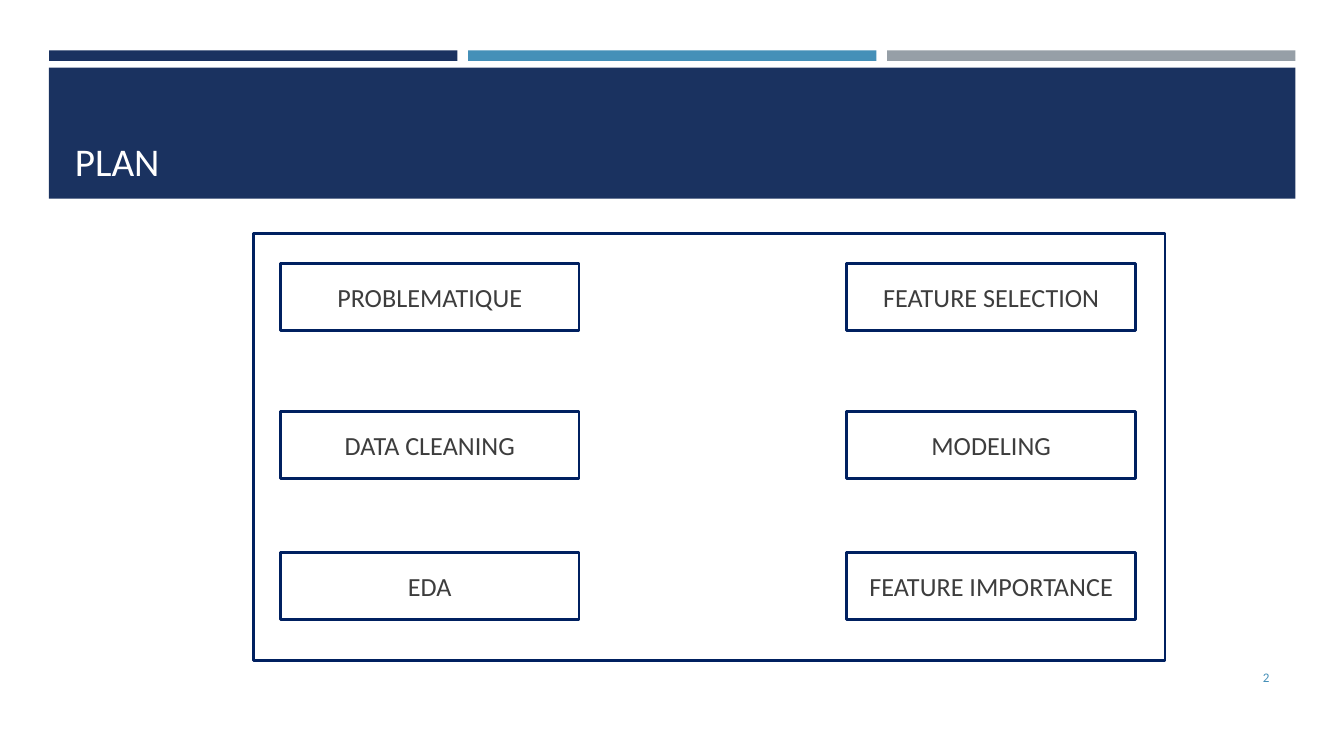
"""Build the plan slide: a header band and six framed topics."""
from dataclasses import dataclass

import pptx
import pptx.dml.color
import pptx.enum.shapes
import pptx.enum.text
import pptx.shapes.autoshape
import pptx.slide
import pptx.util

Pt = pptx.util.Pt
ALIGN = pptx.enum.text.PP_ALIGN
ANCHOR = pptx.enum.text.MSO_ANCHOR
FONT = "Calibri"
COLORS = {
    "navy": "1A3260",
    "blue": "4590B8",
    "gray": "969FA7",
    "outline": "002060",
    "text": "3D3D3D",
    "white": "FFFFFF",
}
BAR_COLORS = ("navy", "blue", "gray")
BAR_LEFT, BAR_PITCH = 26.3, 224.45
ROW_TOPS = (141.1, 220.3, 296)
ROW_HEIGHT = 36


@dataclass(frozen=True)
class Area:
    left: float
    top: float
    width: float
    height: float

    def lengths(self) -> tuple:
        return tuple(Pt(value) for value in (self.left, self.top, self.width, self.height))


@dataclass(frozen=True)
class TopicColumn:
    left: float
    width: float
    topics: tuple[str, ...]


COLUMNS = (
    TopicColumn(150.3, 160, ("PROBLEMATIQUE", "DATA CLEANING", "EDA")),
    TopicColumn(453.6, 154.8, ("FEATURE SELECTION", "MODELING", "FEATURE IMPORTANCE")),
)


def rgb(name: str) -> pptx.dml.color.RGBColor:
    return pptx.dml.color.RGBColor.from_string(COLORS[name])


def write(shape, text: str, size: float, color: str, align: ALIGN, anchor: ANCHOR) -> None:
    frame = shape.text_frame
    frame.text = text
    frame.word_wrap = True
    frame.auto_size = pptx.enum.text.MSO_AUTO_SIZE.NONE
    frame.vertical_anchor = anchor
    frame.margin_left = frame.margin_right = Pt(5.4)
    frame.margin_top = frame.margin_bottom = Pt(2.7)
    para = frame.paragraphs[0]
    para.alignment = align
    for span in para.runs:
        span.font.name = FONT
        span.font.size = Pt(size)
        span.font.color.rgb = rgb(color)


def add_box(page: pptx.slide.Slide, area: Area, fill: str = "",
            line: str = "") -> pptx.shapes.autoshape.Shape:
    box = page.shapes.add_shape(pptx.enum.shapes.MSO_SHAPE.RECTANGLE, *area.lengths())
    box.shadow.inherit = False
    if fill:
        box.fill.solid()
        box.fill.fore_color.rgb = rgb(fill)
    else:
        box.fill.background()
    if line:
        box.line.color.rgb = rgb(line)
        box.line.width = Pt(1.5)
    else:
        box.line.fill.background()
    return box


def add_header(page: pptx.slide.Slide) -> None:
    for index, color in enumerate(BAR_COLORS):
        add_box(page, Area(BAR_LEFT + index * BAR_PITCH, 27, 218.8, 5.6), fill=color)
    band = add_box(page, Area(26.2, 36.2, 667.8, 70.3), fill="navy")
    title = page.shapes.title
    title.left, title.top, title.width, title.height = Area(34.7, 41.8, 651.6, 59.8).lengths()
    write(title, "PLAN", 21, "white", ALIGN.LEFT, ANCHOR.BOTTOM)
    band.element.addnext(title.element)


def add_column(page: pptx.slide.Slide, column: TopicColumn) -> None:
    for top, topic in zip(ROW_TOPS, column.topics):
        box = add_box(page, Area(column.left, top, column.width, ROW_HEIGHT), line="outline")
        write(box, topic, 14, "text", ALIGN.CENTER, ANCHOR.MIDDLE)


def main() -> None:
    deck = pptx.Presentation()
    deck.slide_width, deck.slide_height = Pt(720), Pt(405)
    page = deck.slides.add_slide(deck.slide_layouts[5])
    add_header(page)
    for column in COLUMNS:
        add_column(page, column)
    add_box(page, Area(135.9, 125.2, 488.2, 228.8), line="outline")
    number = page.shapes.add_textbox(*Area(623.5, 352, 62, 21.6).lengths())
    write(number, "2", 7, "blue", ALIGN.RIGHT, ANCHOR.MIDDLE)
    deck.save("out.pptx")


if __name__ == "__main__":
    main()
